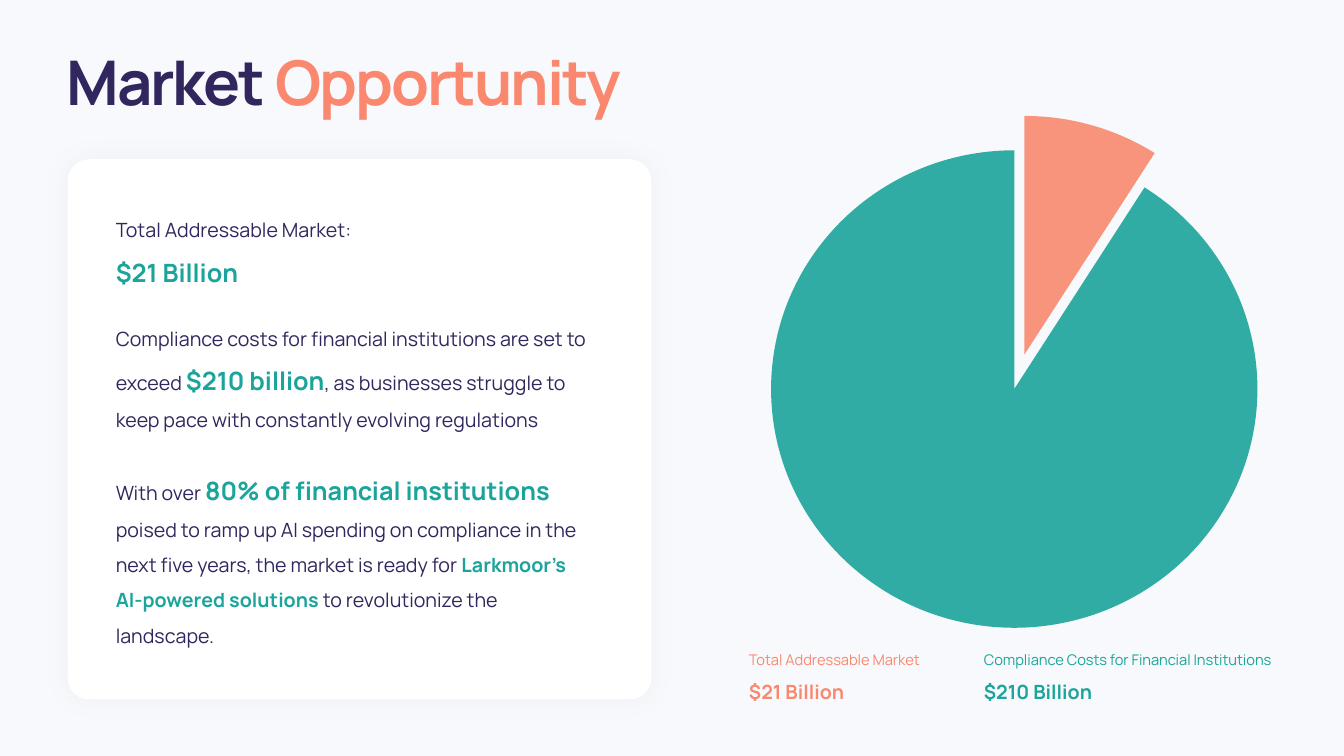
from lxml import etree
from pptx import Presentation
from pptx.chart.data import CategoryChartData
from pptx.dml.color import RGBColor
from pptx.enum.chart import XL_CHART_TYPE
from pptx.enum.shapes import MSO_SHAPE
from pptx.enum.text import MSO_ANCHOR, PP_ALIGN
from pptx.oxml import parse_xml
from pptx.oxml.ns import nsdecls, qn
from pptx.util import Inches, Pt

PIE = XL_CHART_TYPE.PIE
ROUNDED = MSO_SHAPE.ROUNDED_RECTANGLE
TOP = MSO_ANCHOR.TOP
LEFT = PP_ALIGN.LEFT
COLORS = {"navy": "31265E", "coral": "F9886F", "teal": "1BA49B",
          "white": "FFFFFF", "background": "F7F9FC"}


def rgb(name):
    return RGBColor.from_string(COLORS[name])


def write(box, paragraphs, wrap=True, spacing=1.5, tracking=0):
    frame = box.text_frame
    frame.word_wrap = wrap
    frame.vertical_anchor = TOP
    for index, runs in enumerate(paragraphs):
        paragraph = frame.add_paragraph() if index else frame.paragraphs[0]
        paragraph.alignment = LEFT
        paragraph.line_spacing = spacing
        for text, size, color, bold in runs:
            run = paragraph.add_run()
            run.text = text
            run.font.name = "Manrope"
            run.font.size = Pt(size)
            run.font.bold = bold
            run.font.color.rgb = rgb(color)
            if tracking:
                run.font._element.set("spc", str(tracking))


prs = Presentation()
prs.slide_width = Inches(13.33)
prs.slide_height = Inches(7.5)
slide = prs.slides.add_slide(prs.slide_layouts[5])
slide.background.fill.solid()
slide.background.fill.fore_color.rgb = rgb("background")

title = slide.shapes.title
title.left, title.top = Inches(0.56), Inches(0.39)
title.width, title.height = Inches(5.82), Inches(0.84)
write(title, [[("Market ", 44, "navy", True), ("Opportunity", 44, "coral", True)]],
      wrap=False, spacing=1.0, tracking=-150)

market_data = CategoryChartData()
market_data.categories = ["1", "2"]
market_data.add_series("Series 1", (9, 91))
market_pie = slide.shapes.add_chart(
    PIE, Inches(6.12), Inches(1.15), Inches(8.04), Inches(5.08), market_data).chart
market_pie.has_legend = False
market_pie.has_title = False
market_pie.font.name = "Calibri"
market_pie.font.size = Pt(10)
market_pie.plots[0].vary_by_categories = False
market_series = market_pie.plots[0].series[0]
for index, color in enumerate(["coral", "teal"]):
    slice_format = market_series.points[index].format
    slice_format.fill.solid()
    slice_format.fill.fore_color.rgb = rgb(color)
    slice_format.line.fill.background()
for slice_color in market_series._element.findall(".//" + qn("c:dPt") + "//" + qn("a:srgbClr")):
    etree.SubElement(slice_color, qn("a:alpha")).set("val", "90000")
market_slice = market_series._element.find(qn("c:dPt"))
market_slice.find(qn("c:spPr")).addprevious(
    parse_xml(f'<c:explosion {nsdecls("c")} val="15"/>'))

plot_area = market_pie._chartSpace.chart.plotArea
for old_layout in plot_area.findall(qn("c:layout")):
    plot_area.remove(old_layout)
plot_area.insert(0, parse_xml(
    f'<c:layout {nsdecls("c")}><c:manualLayout><c:layoutTarget val="inner"/>'
    '<c:xMode val="edge"/><c:yMode val="edge"/><c:x val="0.19"/><c:y val="0.08"/>'
    '<c:w val="0.6"/><c:h val="0.95"/></c:manualLayout></c:layout>'))

card = slide.shapes.add_shape(ROUNDED, Inches(0.67), Inches(1.58), Inches(5.79), Inches(5.36))
card.adjustments[0] = 0.04
card.fill.solid()
card.fill.fore_color.rgb = rgb("white")
card.line.fill.background()
card._element.spPr.append(parse_xml(
    f'<a:effectLst {nsdecls("a")}><a:outerShdw blurRad="254000" dist="0" algn="ctr">'
    '<a:srgbClr val="000000"><a:alpha val="4000"/></a:srgbClr></a:outerShdw></a:effectLst>'))

card_texts = [
    (2, 0.86, [[("Total Addressable Market:", 14, "navy", False)],
               [("$21 Billion", 18, "teal", True)]]),
    (3.08, 1.23, [[
        ("Compliance costs for financial institutions are set to exceed ", 14, "navy", False),
        ("$210 billion", 18, "teal", True),
        (", as businesses struggle to keep pace with constantly evolving regulations",
         14, "navy", False)]]),
    (4.52, 1.93, [[
        ("With over ", 14, "navy", False),
        ("80% of financial institutions", 18, "teal", True),
        (" poised to ramp up AI spending on compliance in the next five years, "
         "the market is ready for ", 14, "navy", False),
        ("Larkmoor’s AI-powered solutions", 14, "teal", True),
        (" to revolutionize the landscape.", 14, "navy", False)]]),
]
for top, height, paragraphs in card_texts:
    write(slide.shapes.add_textbox(Inches(1.05), Inches(top), Inches(4.96), Inches(height)),
          paragraphs)

pie_labels = [
    (7.33, 1.94, "Total Addressable Market", "$21 Billion", "coral"),
    (9.66, 3.12, "Compliance Costs for Financial Institutions", "$210 Billion", "teal"),
]
for left, width, label, amount, color in pie_labels:
    write(slide.shapes.add_textbox(Inches(left), Inches(6.32), Inches(width), Inches(0.68)),
          [[(label, 10.5, color, False)], [(amount, 14, color, True)]], wrap=False)

prs.save("out.pptx")
